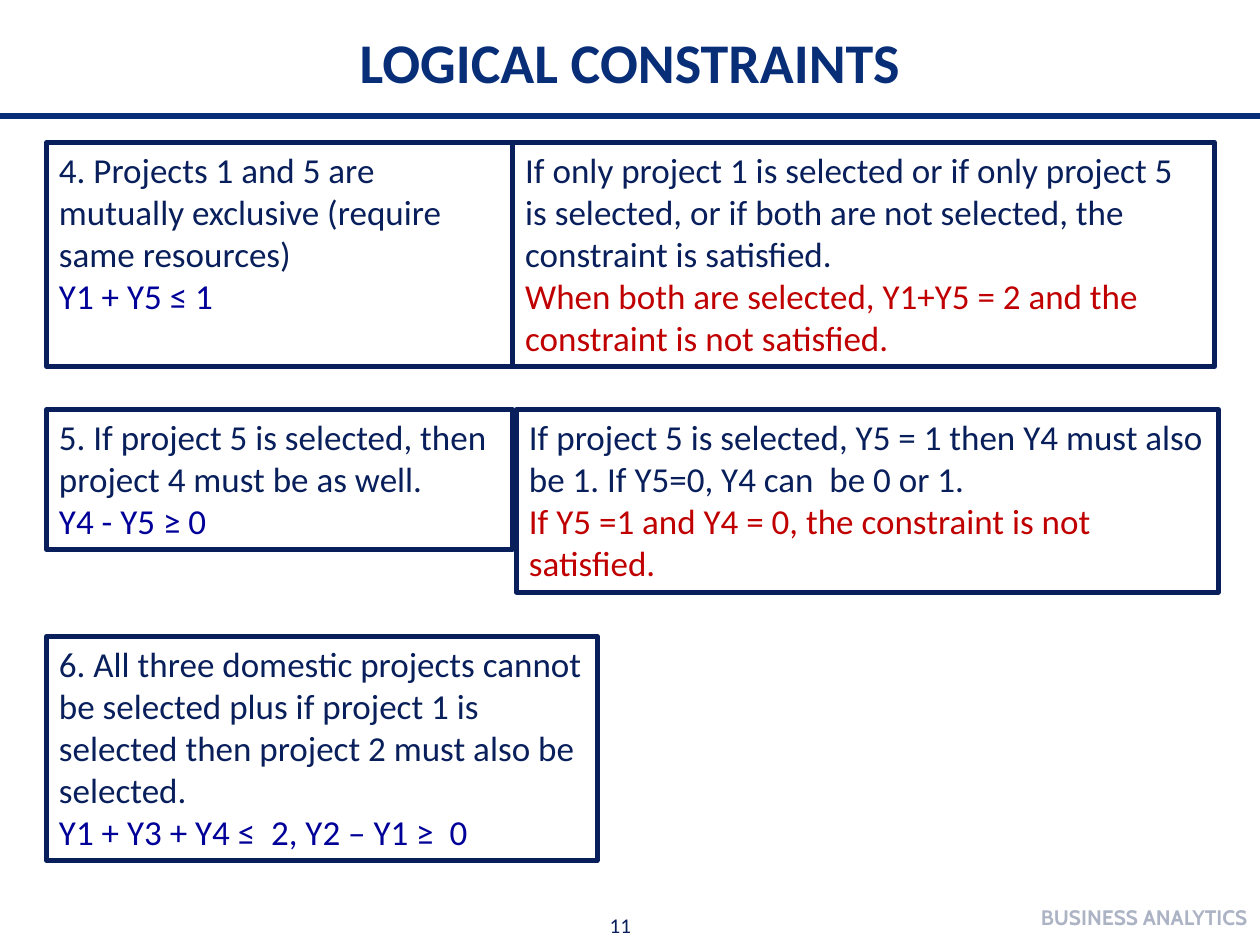
from lxml import etree
from pptx import Presentation
from pptx.dml.color import RGBColor
from pptx.enum import shapes, text
from pptx.oxml import ns
from pptx.util import Inches, Pt

COLORS = {
    "title": "092E78",
    "body": "081F5B",
    "formula": "000099",
    "violation": "C00000",
    "footer": "06194C",
}

LEFT, LEFT_WIDTH, RIGHT_WIDTH = 0.37, 3.7, 5.57

CONSTRAINTS = [
    ((LEFT, 1.13, LEFT_WIDTH, 1.78),
     "4. Projects 1 and 5 are mutually exclusive (require same resources)",
     "Y1 + Y5 ≤ 1", "formula"),
    ((LEFT + LEFT_WIDTH, 1.13, RIGHT_WIDTH, 1.78),
     "If only project 1 is selected or if only project 5 is selected, "
     "or if both are not selected, the constraint is satisfied.",
     "When both are selected, Y1+Y5 = 2 and the constraint is not satisfied.",
     "violation"),
    ((LEFT, 3.25, LEFT_WIDTH, 1.11),
     "5. If project 5 is selected, then project 4 must be as well.",
     "Y4 - Y5 ≥ 0", "formula"),
    ((4.1, 3.25, RIGHT_WIDTH, 1.45),
     "If project 5 is selected, Y5 = 1 then Y4 must also be 1. "
     "If Y5=0, Y4 can  be 0 or 1.",
     "If Y5 =1 and Y4 = 0, the constraint is not satisfied.", "violation"),
    ((LEFT, 5.05, 4.37, 1.78),
     "6. All three domestic projects cannot be selected plus if project 1 "
     "is selected then project 2 must also be selected.",
     "Y1 + Y3 + Y4 ≤  2, Y2 – Y1 ≥  0", "formula"),
]


def rgb(name):
    return RGBColor.from_string(COLORS[name])


def add_run(paragraph, wording, size, color, font="Calibri", bold=False):
    run = paragraph.add_run()
    run.text = wording
    run.font.name = font
    run.font.size = Pt(size)
    run.font.bold = bold
    run.font.color.rgb = rgb(color)
    return run


def add_label(slide, box, align, anchor=text.MSO_ANCHOR.TOP):
    frame = slide.shapes.add_textbox(*map(Inches, box)).text_frame
    frame.word_wrap = True
    frame.vertical_anchor = anchor
    paragraph = frame.paragraphs[0]
    paragraph.alignment = align
    return paragraph


def add_header(slide, box):
    title = add_label(slide, box, text.PP_ALIGN.CENTER)
    add_run(title, "LOGICAL CONSTRAINTS", 32, "title", bold=True)


def add_divider(slide, left, top, width):
    divider = slide.shapes.add_connector(
        shapes.MSO_CONNECTOR.STRAIGHT,
        Inches(left), Inches(top), Inches(left + width), Inches(top))
    divider.line.color.rgb = rgb("title")
    divider.line.width = Pt(3)
    etree.SubElement(divider._element.spPr, ns.qn("a:effectLst"))


def add_constraint(slide, box, statement, conclusion, conclusion_color):
    panel = slide.shapes.add_shape(
        shapes.MSO_SHAPE.RECTANGLE, *map(Inches, box))
    panel.shadow.inherit = False
    panel.fill.background()
    panel.line.color.rgb = rgb("body")
    panel.line.width = Pt(2.75)
    frame = panel.text_frame
    frame.word_wrap = True
    frame.auto_size = text.MSO_AUTO_SIZE.SHAPE_TO_FIT_TEXT
    frame.vertical_anchor = text.MSO_ANCHOR.TOP
    paragraphs = (frame.paragraphs[0], frame.add_paragraph())
    lines = ((statement, "body"), (conclusion, conclusion_color))
    for paragraph, (wording, color) in zip(paragraphs, lines):
        paragraph.alignment = text.PP_ALIGN.LEFT
        add_run(paragraph, wording, 20, color)


def add_footer(slide, number_box, course_box):
    number = add_label(slide, number_box, text.PP_ALIGN.LEFT)
    add_run(number, "11", 12, "body")
    course = add_label(slide, course_box, text.PP_ALIGN.RIGHT,
                       text.MSO_ANCHOR.MIDDLE)
    run = add_run(course, "BUSINESS ANALYTICS", 12, "footer", "Cabin", True)
    tint = run._r.find(".//" + ns.qn("a:srgbClr"))
    etree.SubElement(tint, ns.qn("a:alpha"), val="33000")


def main():
    deck = Presentation()
    deck.slide_width, deck.slide_height = Inches(10), Inches(7.5)
    slide = deck.slides.add_slide(deck.slide_layouts[6])
    add_divider(slide, 0, 0.92, 10)
    for constraint in CONSTRAINTS:
        add_constraint(slide, *constraint)
    add_footer(slide, (4.74, 7.19, 2.08, 0.3), (6.67, 7.08, 3.33, 0.4))
    add_header(slide, (0.5, 0.17, 9, 0.63))
    deck.save("out.pptx")


if __name__ == "__main__":
    main()
